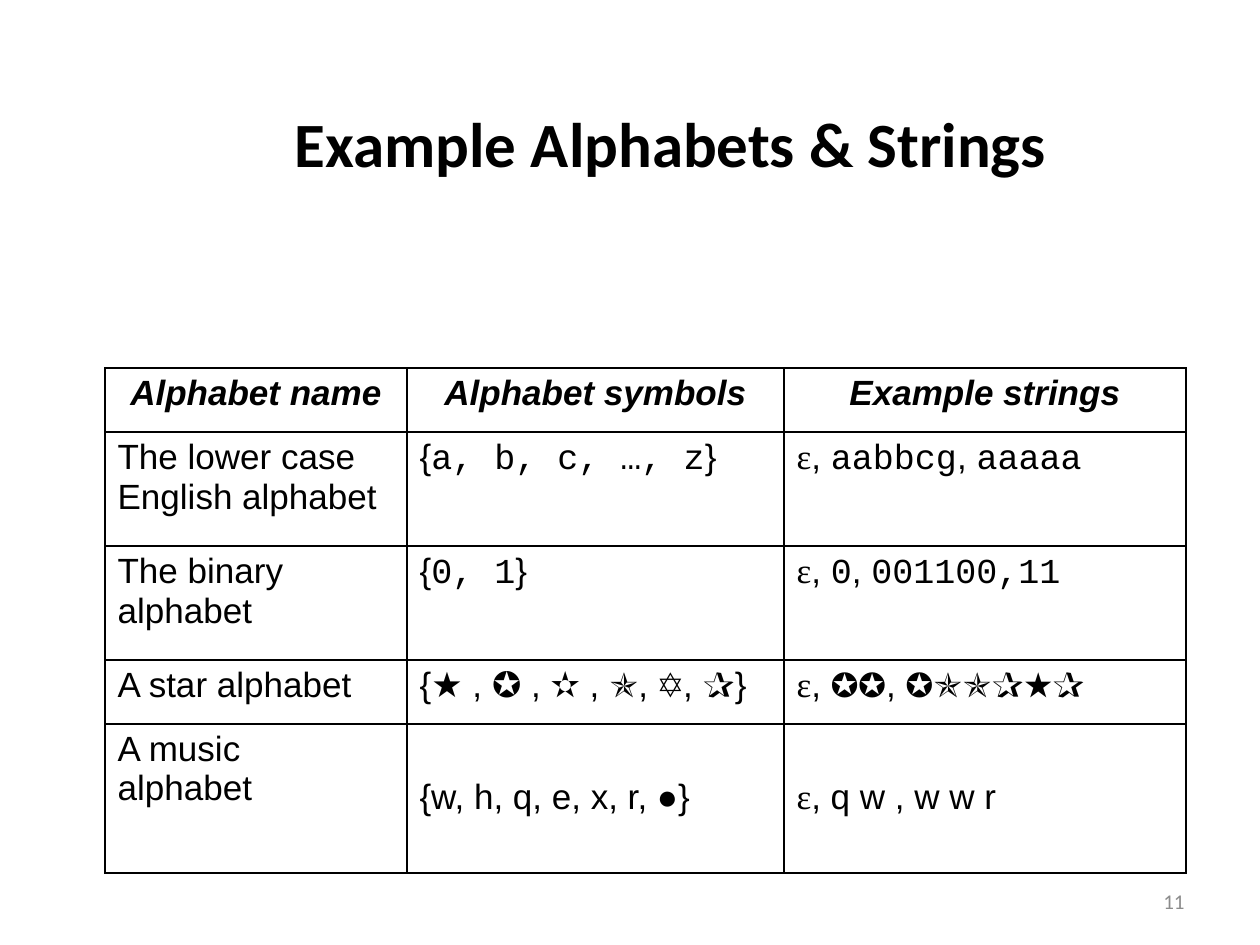
import pptx
import pptx.dml.color
import pptx.enum.text
import pptx.oxml
import pptx.oxml.ns
import pptx.util

SCALE = 914400 // 126
ALIGN = pptx.enum.text.PP_ALIGN
MIDDLE = pptx.enum.text.MSO_ANCHOR.MIDDLE
SANS, MONO, SERIF = "Arial", "Courier New", "Times New Roman"


def px(length):
    """Turn whole pixels into EMU."""
    return pptx.util.Emu(length * SCALE)


def color(value):
    """Turn a hex string into a colour."""
    return pptx.dml.color.RGBColor.from_string(value)


class Page:
    """Holds the style and the current slide."""

    ink = "000000"
    muted = "8C8C8C"
    heading_font = "Calibri"
    cell_size = 20
    border_width = 1

    def __init__(self, deck):
        """Add a blank slide to the deck."""
        self.slide = deck.slides.add_slide(deck.slide_layouts[6])

    def add_spans(self, para, spans, size, ink, bold=False, italic=False):
        """Fill a paragraph with (text, font) spans."""
        for text, font in spans:
            span = para.add_run()
            span.text = text
            span.font.name = font
            span.font.size = pptx.util.Pt(size)
            span.font.bold = bold
            span.font.italic = italic
            span.font.color.rgb = color(ink)

    def text(self, text, left, top, width, height, size, ink, align, bold=False):
        """Add a vertically centred text box."""
        box = self.slide.shapes.add_textbox(px(left), px(top), px(width), px(height))
        frame = box.text_frame
        frame.word_wrap = True
        frame.vertical_anchor = MIDDLE
        para = frame.paragraphs[0]
        para.alignment = align
        self.add_spans(para, [(text, self.heading_font)], size, ink, bold)

    def border(self, cell):
        """Draw a solid line on all four sides of a cell."""
        properties = cell._tc.get_or_add_tcPr()
        width = pptx.util.Pt(self.border_width)
        for index, side in enumerate(("lnL", "lnR", "lnT", "lnB")):
            line = pptx.oxml.parse_xml(
                f'<a:{side} {pptx.oxml.ns.nsdecls("a")} w="{width}"><a:solidFill>'
                f'<a:srgbClr val="{self.ink}"/></a:solidFill></a:{side}>')
            properties.insert(index, line)

    def table(self, rows, left, top, widths, heights):
        """Add a bordered table; each cell is a list of paragraphs of spans."""
        frame = self.slide.shapes.add_table(
            len(heights), len(widths), px(left), px(top), px(sum(widths)), px(sum(heights)))
        table = frame.table
        table.first_row = table.horz_banding = False
        for column, width in zip(table.columns, widths):
            column.width = px(width)
        for row, height in zip(table.rows, heights):
            row.height = px(height)
        for row_index, row in enumerate(rows):
            header = row_index == 0
            for column_index, paragraphs in enumerate(row):
                cell = table.cell(row_index, column_index)
                cell.fill.background()
                self.border(cell)
                for index, spans in enumerate(paragraphs):
                    frame = cell.text_frame
                    para = frame.add_paragraph() if index else frame.paragraphs[0]
                    para.alignment = ALIGN.CENTER if header else ALIGN.LEFT
                    self.add_spans(para, spans, self.cell_size, self.ink, header, header)
        return table


def plain(*lines):
    """Make a cell of sans paragraphs."""
    return [[(line, SANS)] for line in lines]


def mixed(font, *pieces):
    """Make a one-line cell whose pieces alternate between sans and a font."""
    return [[(piece, font if index % 2 else SANS) for index, piece in enumerate(pieces)]]


def strings(font, *pieces):
    """Make a cell of example strings that starts with the empty string."""
    return [[("ε", SERIF)] + mixed(font, *pieces)[0]]


deck = pptx.Presentation()
deck.slide_width, deck.slide_height = px(1260), px(945)
page = Page(deck)

page.text("Example Alphabets & Strings ", 116, 84, 1124, 116, 36, page.ink, ALIGN.CENTER, True)

alphabets = [
    [plain("Alphabet name"), plain("Alphabet symbols"), plain("Example strings")],
    [plain("The lower case English alphabet"),
     mixed(MONO, "{", "a, b, c, …, z", "}"),
     strings(MONO, ", ", "aabbcg", ", ", "aaaaa")],
    [plain("The binary alphabet"),
     mixed(MONO, "{", "0, 1", "}"),
     strings(MONO, ", ", "0", ", ", "001100,11")],
    [plain("A star alphabet"),
     mixed(SERIF, "{★ , ✪ , ✫ , ", "✯", ", ", "✡", ", ", "✰", "}"),
     strings(SERIF, ", ", "✪✪", ", ", "✪✯✯✰★✰ ")],
    [plain("A music ", "alphabet"),
     plain("{w, h, q, e, x, r, ●}"),
     strings(SERIF, ", q w , w w r")],
]
table = page.table(alphabets, 105, 368, [302, 377, 402], [64, 114, 114, 64, 149])
for music_column in (1, 2):
    table.cell(4, music_column).margin_top = px(54)

page.text("11", 903, 876, 294, 50, 12, page.muted, ALIGN.RIGHT)

deck.save("out.pptx")
